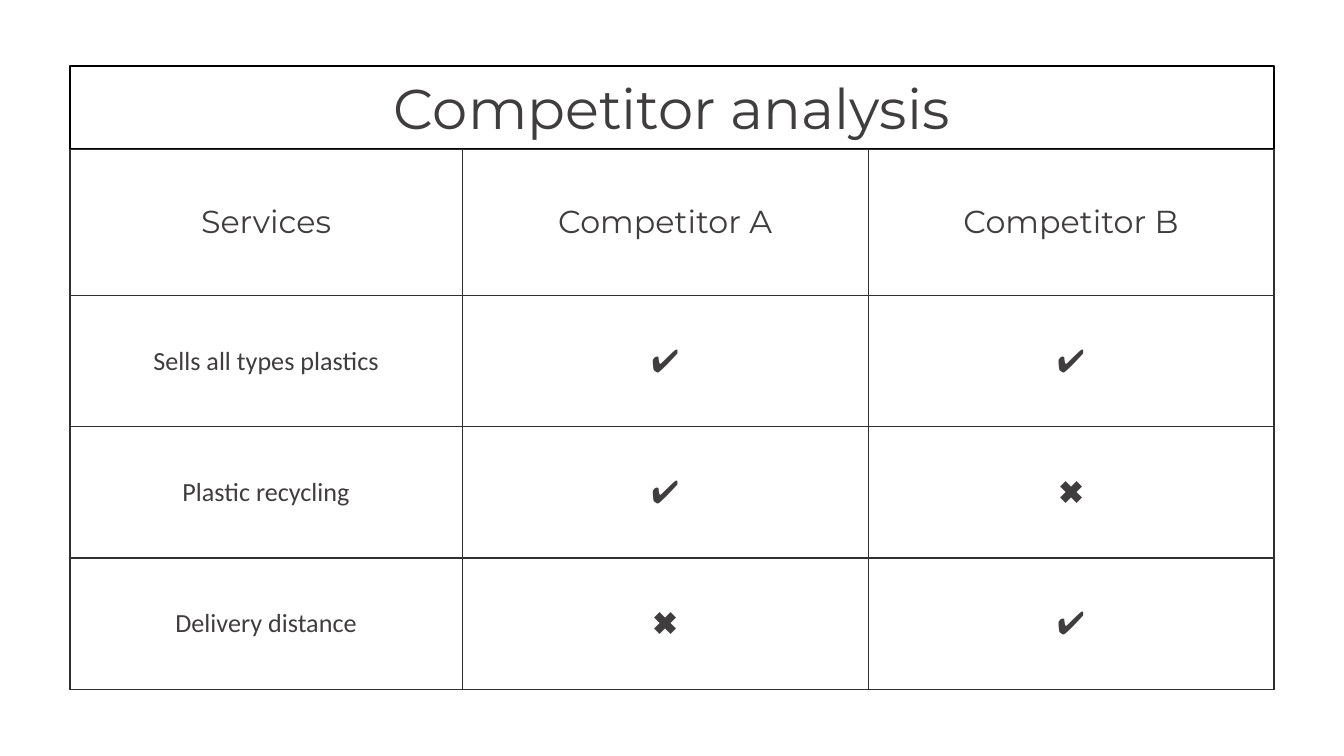
from dataclasses import dataclass

from lxml import etree
from pptx import Presentation
from pptx import util as u
from pptx.dml import color
from pptx.enum import shapes, text
from pptx.oxml import ns


@dataclass(frozen=True)
class Theme:
    ink: str = "3F3D3D"
    frame: str = "000000"
    grid: str = "313030"
    paper: str = "FFFFFF"
    heading_font: str = "Montserrat"
    body_font: str = "Calibri"
    title_size: int = 30
    heading_size: int = 17
    body_size: int = 14
    line: float = 0.75
    inset: float = 0.1


@dataclass(frozen=True)
class Box:
    left: float
    top: float
    width: float
    height: float

    def lengths(self):
        return [u.Inches(n) for n in (self.left, self.top, self.width, self.height)]


THEME = Theme()
SLIDE_WIDTH = 10
SLIDE_HEIGHT = SLIDE_WIDTH * 9 / 16
TITLE_BOX = Box(0.52, 0.49, 8.96, 0.62)
TABLE_BOX = Box(0.52, TITLE_BOX.top + TITLE_BOX.height, 8.96, 4.02)
SERVICE_WIDTH = 2.92
HEADER_HEIGHT = 1.09
YES, NO = "✔", "✖"
COMPARISON = [
    ["Services", "Competitor A", "Competitor B"],
    ["Sells all types plastics", YES, YES],
    ["Plastic recycling", YES, NO],
    ["Delivery distance", NO, YES],
]


def write(frame, words, *, size=THEME.heading_size, font=THEME.heading_font):
    para = frame.paragraphs[0]
    para.alignment = text.PP_ALIGN.CENTER
    span = para.add_run()
    span.text = words
    span.font.size = u.Pt(size)
    span.font.name = font
    span.font.color.rgb = color.RGBColor.from_string(THEME.ink)


def center_with_insets(holder):
    holder.vertical_anchor = text.MSO_ANCHOR.MIDDLE
    for side in ("left", "right", "top", "bottom"):
        setattr(holder, f"margin_{side}", u.Inches(THEME.inset))


def border(cell):
    properties = cell._tc.get_or_add_tcPr()
    for position, side in enumerate(("lnL", "lnR", "lnT", "lnB")):
        line = etree.Element(ns.qn(f"a:{side}"), w=str(u.Pt(THEME.line)))
        fill = etree.SubElement(line, ns.qn("a:solidFill"))
        etree.SubElement(fill, ns.qn("a:srgbClr"), val=THEME.grid)
        properties.insert(position, line)


def add_title(page, box, words):
    banner = page.shapes.add_shape(shapes.MSO_SHAPE.RECTANGLE, *box.lengths())
    banner.shadow.inherit = False
    banner.fill.background()
    banner.line.color.rgb = color.RGBColor.from_string(THEME.frame)
    banner.line.width = u.Pt(THEME.line)
    frame = banner.text_frame
    frame.word_wrap = True
    center_with_insets(frame)
    write(frame, words, size=THEME.title_size)


def add_comparison(page, box, rows):
    row_count, column_count = len(rows), len(rows[0])
    table = page.shapes.add_table(row_count, column_count, *box.lengths()).table
    table.first_row = table.horz_banding = False

    competitor_width = (box.width - SERVICE_WIDTH) / (column_count - 1)
    for index, column in enumerate(table.columns):
        column.width = u.Inches(competitor_width if index else SERVICE_WIDTH)
    service_height = (box.height - HEADER_HEIGHT) / (row_count - 1)
    for index, row in enumerate(table.rows):
        row.height = u.Inches(service_height if index else HEADER_HEIGHT)

    for row_index, row in enumerate(rows):
        for column_index, words in enumerate(row):
            cell = table.cell(row_index, column_index)
            cell.fill.background()
            center_with_insets(cell)
            border(cell)
            if row_index and not column_index:
                write(cell.text_frame, words, size=THEME.body_size, font=THEME.body_font)
            else:
                write(cell.text_frame, words)


def main():
    deck = Presentation()
    deck.slide_width = u.Inches(SLIDE_WIDTH)
    deck.slide_height = u.Inches(SLIDE_HEIGHT)
    page = deck.slides.add_slide(deck.slide_layouts[6])
    page.background.fill.solid()
    page.background.fill.fore_color.rgb = color.RGBColor.from_string(THEME.paper)
    add_title(page, TITLE_BOX, "Competitor analysis")
    add_comparison(page, TABLE_BOX, COMPARISON)
    deck.save("out.pptx")


if __name__ == "__main__":
    main()
